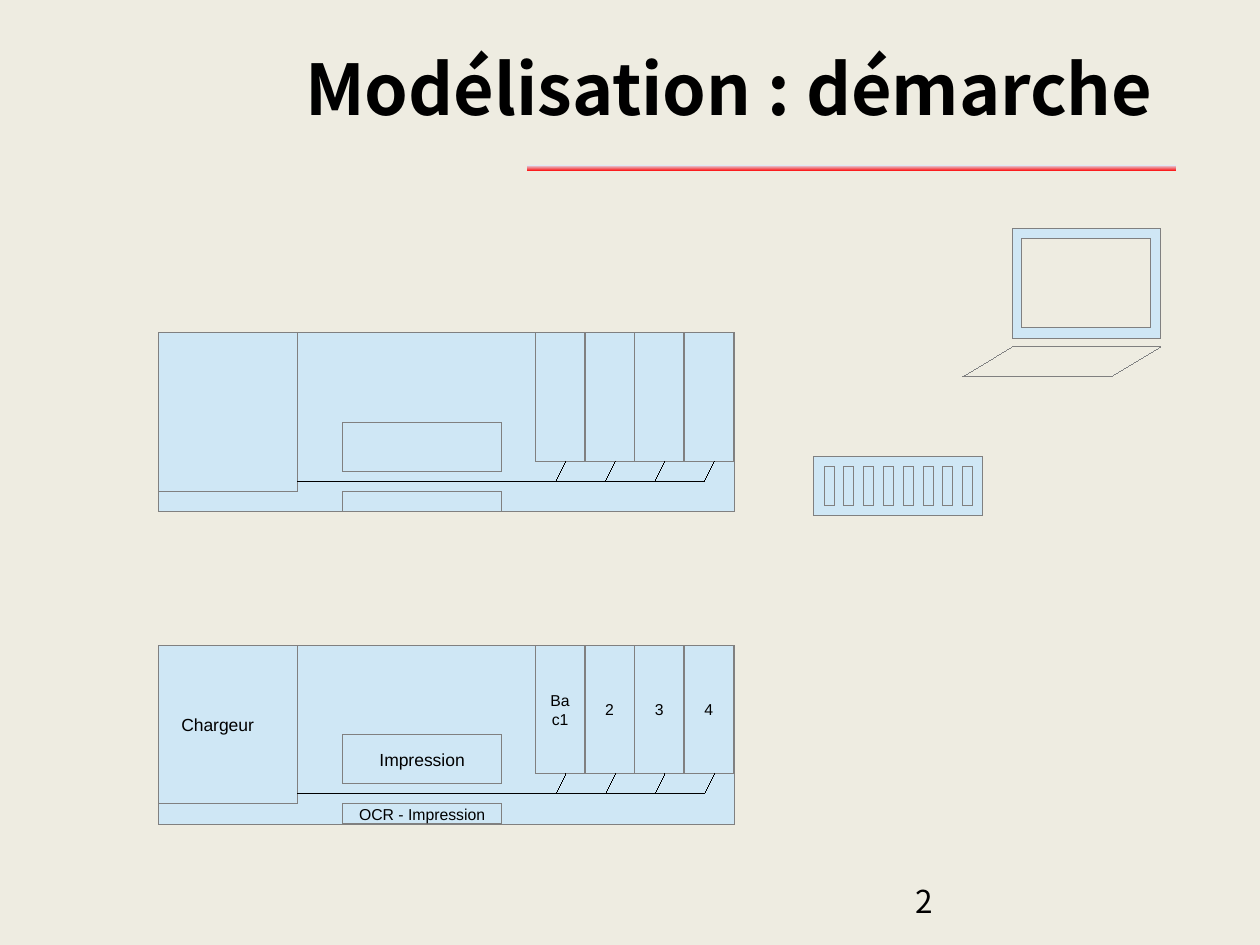
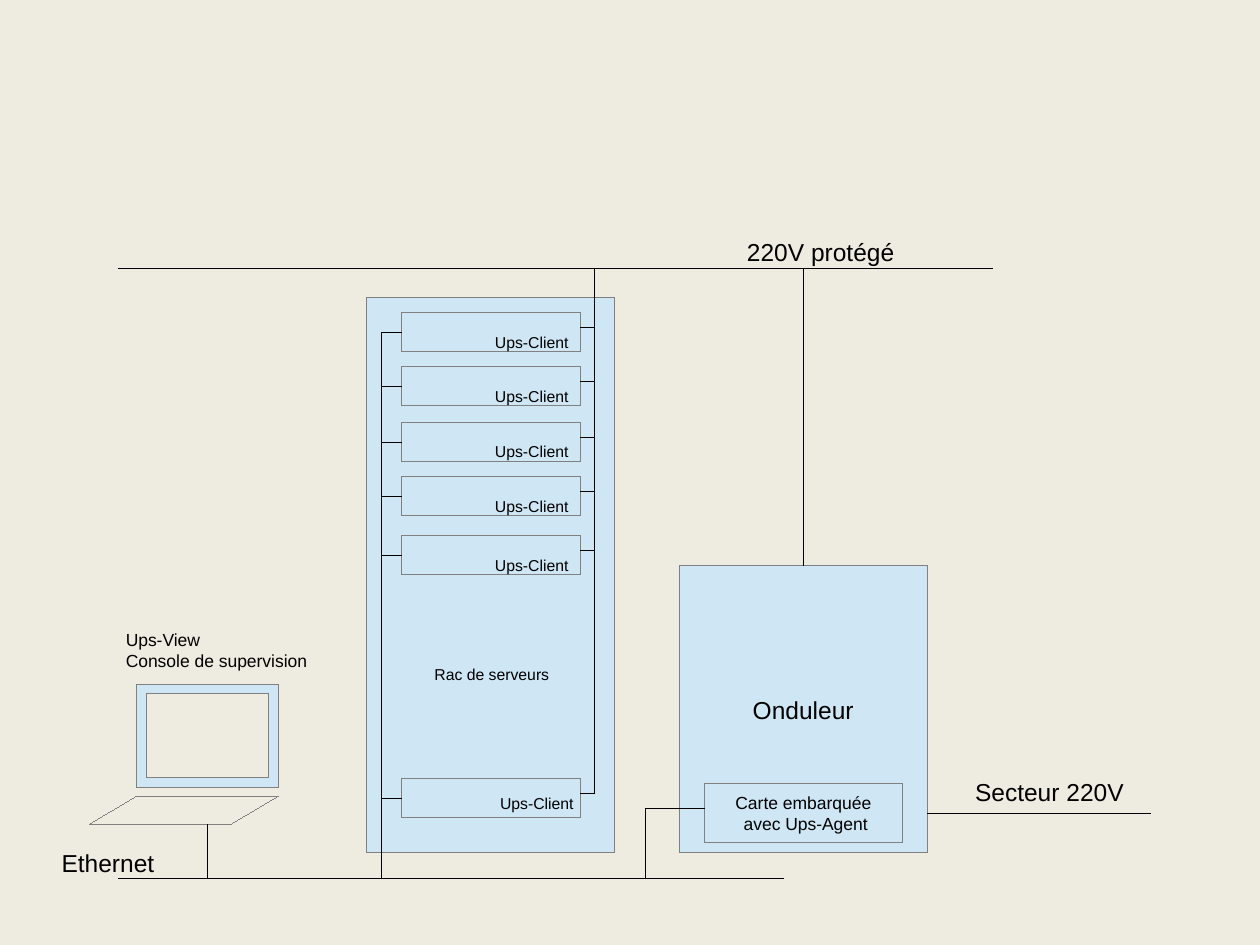
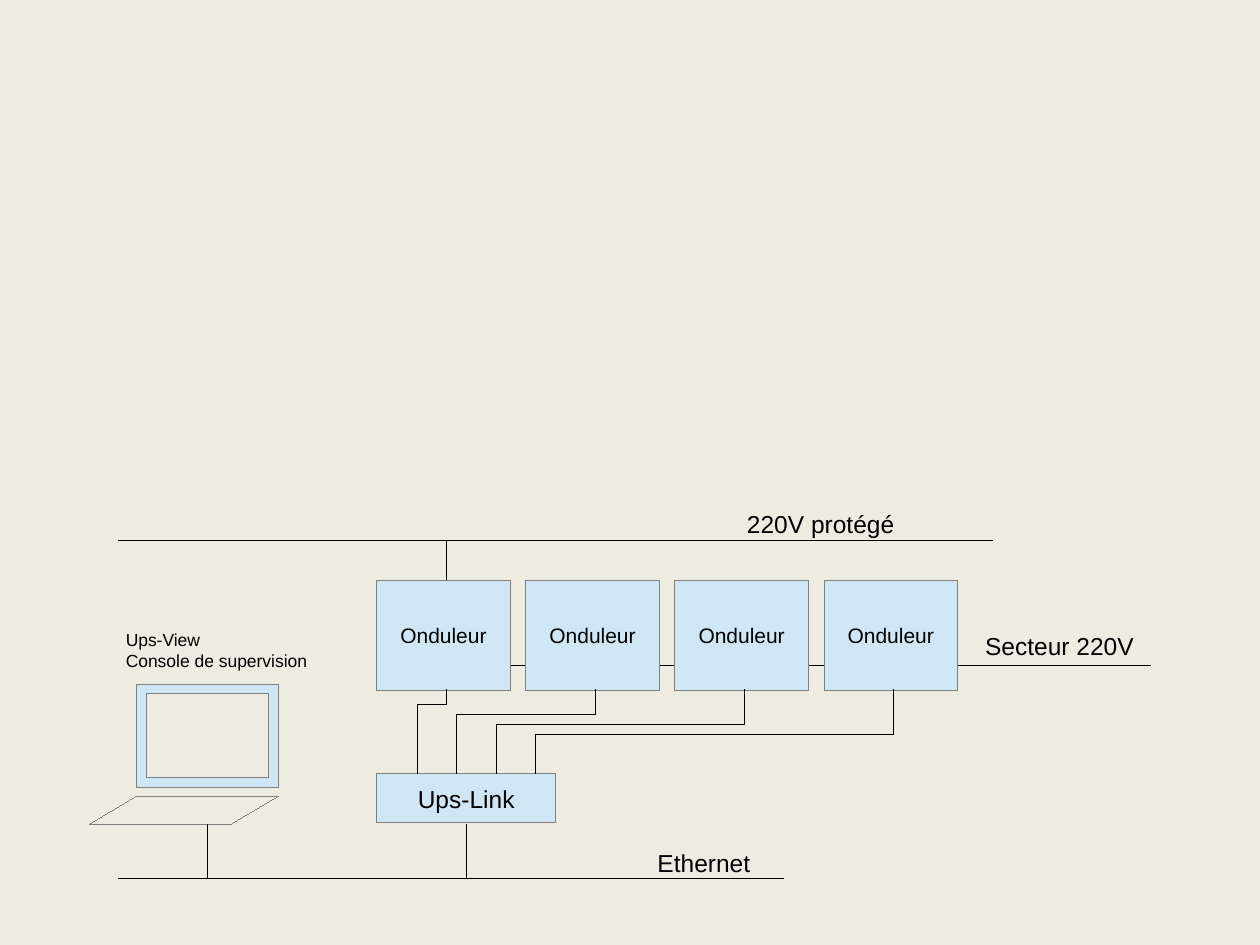
import itertools
from dataclasses import dataclass
from typing import Any

import lxml.etree
import pptx
import pptx.dml.color
import pptx.enum.shapes
import pptx.enum.text
import pptx.oxml.ns
import pptx.util

Inches = pptx.util.Inches
Pt = pptx.util.Pt
ALIGN = pptx.enum.text.PP_ALIGN
ANCHOR = pptx.enum.text.MSO_ANCHOR

PAPER, PALE, GREY, BLACK = "EEECE1", "CFE7F5", "808080", "000000"
RED, MIST = "FF0000", "E0E8F5"
SANS, HEAD = "Arial", "Noto Sans CJK JP"
HAIR = Pt(0.01)

INSIDE = {"word_wrap": True, "vertical_anchor": ANCHOR.MIDDLE}
BLOCK = {"word_wrap": True, "vertical_anchor": ANCHOR.TOP}

Point = tuple[float, float]


@dataclass(frozen=True)
class Box:
    left: float
    top: float
    width: float
    height: float

    def place(self) -> list[int]:
        return [Inches(v) for v in (self.left, self.top, self.width, self.height)]


@dataclass(frozen=True)
class Style:
    size: float
    font: str = SANS
    bold: bool = False
    align: Any = ALIGN.LEFT


@dataclass(frozen=True)
class Label:
    text: str
    box: Box
    style: Style


def apply(target: Any, values: dict[str, Any]) -> None:
    for name, value in values.items():
        setattr(target, name, value)


def rgb(code: str) -> pptx.dml.color.RGBColor:
    return pptx.dml.color.RGBColor.from_string(code)


def write(frame: Any, text: str, style: Style, values: dict[str, Any]) -> None:
    apply(frame, values)
    frame.text = text
    for para in frame.paragraphs:
        para.alignment = style.align
        apply(para.font, {"size": Pt(style.size), "name": style.font, "bold": style.bold})
        para.font.color.rgb = rgb(BLACK)


def label(slide: Any, item: Label) -> None:
    shape = slide.shapes.add_textbox(*item.box.place())
    write(shape.text_frame, item.text, item.style, BLOCK)


def stroke(line: Any, code: str) -> None:
    line.color.rgb = rgb(code)
    line.width = HAIR


def paint(shape: Any) -> None:
    shape.shadow.inherit = False
    shape.fill.solid()
    shape.fill.fore_color.rgb = rgb(PALE)
    stroke(shape.line, GREY)


def panel(slide: Any, box: Box, text: str = "", size: float = 9) -> None:
    shape = slide.shapes.add_shape(pptx.enum.shapes.MSO_SHAPE.RECTANGLE, *box.place())
    paint(shape)
    if text:
        write(shape.text_frame, text, Style(size, align=ALIGN.CENTER), INSIDE)


def wire(slide: Any, *points: Point) -> None:
    """Join the points, in order, with straight hairlines."""
    for start, end in itertools.pairwise(points):
        line = slide.shapes.add_connector(
            pptx.enum.shapes.MSO_CONNECTOR.STRAIGHT, *[Inches(v) for v in start + end])
        stroke(line.line, BLACK)
        props = line._element.spPr
        lxml.etree.SubElement(props, pptx.oxml.ns.qn("a:effectLst"))


def laptop(slide: Any, box: Box) -> None:
    """Screen and keyboard; the keyboard runs twice so that it stays unfilled."""
    bezel = [(0.25, 0.74), (0.25, 0), (1, 0), (1, 0.74)]
    glass = [(0.3, 0.67), (0.3, 0.07), (0.95, 0.07), (0.95, 0.67)]
    keys = [(0.25, 0.8), (1, 0.8), (0.75, 1), (0, 1)]

    def scale(part: list[Point]) -> list[Point]:
        return [(Inches(box.left + x * box.width), Inches(box.top + y * box.height))
                for x, y in part]

    first, *rest = [scale(part) for part in (bezel, glass, keys, keys)]
    draft = slide.shapes.build_freeform(*first[0], scale=1.0)
    draft.add_line_segments(first[1:], close=True)
    for part in rest:
        draft.move_to(*part[0])
        draft.add_line_segments(part[1:], close=True)
    paint(draft.convert_to_shape())


def sorter(slide: Any, top: float, bins: list[str], print_text: str = "",
           scan_text: str = "") -> None:
    """Mail sorter: loader, belt, two printers and four bins."""
    panel(slide, Box(1.26, top, 4.57, 1.42))
    panel(slide, Box(1.26, top, 1.1, 1.26))
    belt = top + 1.18
    wire(slide, (2.36, belt), (5.59, belt))
    for i, text in enumerate(bins):
        left = 4.25 + 1.18 * i / 3
        panel(slide, Box(left, top, 0.39, 1.02), text)
        wire(slide, (left + 0.24, top + 1.02), (left + 0.16, belt))
    panel(slide, Box(2.72, top + 0.71, 1.26, 0.39), print_text, 10)
    panel(slide, Box(2.72, top + 1.26, 1.26, 0.16), scan_text)


def network(slide: Any, rail: float, link: float) -> None:
    """Console, protected rail at height rail, Ethernet line labelled at link."""
    laptop(slide, Box(0.71, 5.43, 1.5, 1.11))
    wire(slide, (0.94, rail), (7.88, rail))
    wire(slide, (0.94, 6.97), (6.22, 6.97))
    wire(slide, (1.65, 6.54), (1.65, 6.97))
    for item in (
        Label("220V protégé", Box(5.83, rail - 0.3, 1.4, 0.32), Style(14)),
        Label("Ups-View\nConsole de supervision", Box(0.9, 4.94, 1.7, 0.41), Style(10)),
        Label("Ethernet", Box(link, 6.68, 1, 0.32), Style(14)),
    ):
        label(slide, item)


def mains(slide: Any, start: Point, left: float, top: float) -> None:
    wire(slide, start, (9.13, start[1]))
    label(slide, Label("Secteur 220V", Box(left, top, 1.42, 0.32), Style(14)))


def header(slide: Any, title: str, number: str) -> None:
    label(slide, Label(title, Box(1.18, 0.31, 8.19, 1.17),
                       Style(40, HEAD, True, ALIGN.RIGHT)))
    label(slide, Label(number, Box(7.17, 6.95, 2.33, 0.4), Style(18, HEAD)))
    band = slide.shapes.add_shape(pptx.enum.shapes.MSO_SHAPE.RECTANGLE,
                                  *Box(4.18, 1.31, 5.15, 0.05).place())
    band.shadow.inherit = False
    band.line.fill.background()
    band.fill.gradient()
    band.fill.gradient_angle = 90
    for stop, (spot, code) in zip(band.fill.gradient_stops, ((0, RED), (1, MIST))):
        stop.position = spot
        stop.color.rgb = rgb(code)


def draw_model(slide: Any) -> None:
    header(slide, "Modélisation : démarche ", "2")
    sorter(slide, 5.12, ["Bac1", "2", "3", "4"], "Impression", "OCR - Impression")
    label(slide, Label("Chargeur", Box(1.34, 5.62, 0.85, 0.25), Style(10)))
    sorter(slide, 2.64, [""] * 4)
    laptop(slide, Box(7.64, 1.81, 1.57, 1.18))
    panel(slide, Box(6.46, 3.62, 1.34, 0.47))
    for i in range(8):
        panel(slide, Box(6.54 + 1.1 * i / 7, 3.7, 0.08, 0.31))


def draw_rack(slide: Any) -> None:
    rail, power, data = 2.13, 4.72, 3.03
    network(slide, rail, 0.39)
    panel(slide, Box(2.91, 2.36, 1.97, 4.41))
    panel(slide, Box(5.39, 4.49, 1.97, 2.28), "Onduleur", 14)
    wire(slide, (power, rail), (power, 6.3))
    wire(slide, (data, 2.64), (data, 6.97))
    wire(slide, (6.38, 4.49), (6.38, rail))
    mains(slide, (7.36, 6.46), 7.64, 6.12)
    for top in (2.48, 2.91, 3.35, 3.78, 4.25, 6.18):
        shift = 0.04 if top > 6 else 0
        panel(slide, Box(3.19, top, 1.42, 0.31))
        wire(slide, (4.61, top + 0.12), (power, top + 0.12))
        wire(slide, (3.19, top + 0.16), (data, top + 0.16))
        label(slide, Label("Ups-Client", Box(3.83 + shift, top + 0.11 - shift, 0.85, 0.24),
                           Style(9)))
    label(slide, Label("Rac de serveurs", Box(3.35, 5.23, 1.2, 0.24), Style(9)))
    panel(slide, Box(5.59, 6.22, 1.57, 0.47), "Carte embarquée\n avec Ups-Agent", 10)
    wire(slide, (5.12, 6.97), (5.12, 6.42), (5.59, 6.42))


def draw_link(slide: Any) -> None:
    network(slide, 4.29, 5.12)
    mains(slide, (4.06, 5.28), 7.72, 4.96)
    panel(slide, Box(2.99, 6.14, 1.42, 0.39), "Ups-Link", 14)
    wire(slide, (3.7, 6.54), (3.7, 6.97))
    wire(slide, (3.54, 4.29), (3.54, 4.61))
    for i in range(4):
        left = 2.99 + 3.55 * i / 3
        mid, port, bend = left + 0.55, 3.31 + 0.94 * i / 3, 5.59 + 0.08 * i
        panel(slide, Box(left, 4.61, 1.06, 0.87), "Onduleur", 12)
        wire(slide, (mid, 5.47), (mid, bend), (port, bend), (port, 6.14))


def main() -> None:
    deck = pptx.Presentation()
    apply(deck, {"slide_width": Inches(10), "slide_height": Inches(7.5)})
    for draw in (draw_model, draw_rack, draw_link):
        slide = deck.slides.add_slide(deck.slide_layouts[6])
        slide.background.fill.solid()
        slide.background.fill.fore_color.rgb = rgb(PAPER)
        draw(slide)
    deck.save("out.pptx")


if __name__ == "__main__":
    main()
